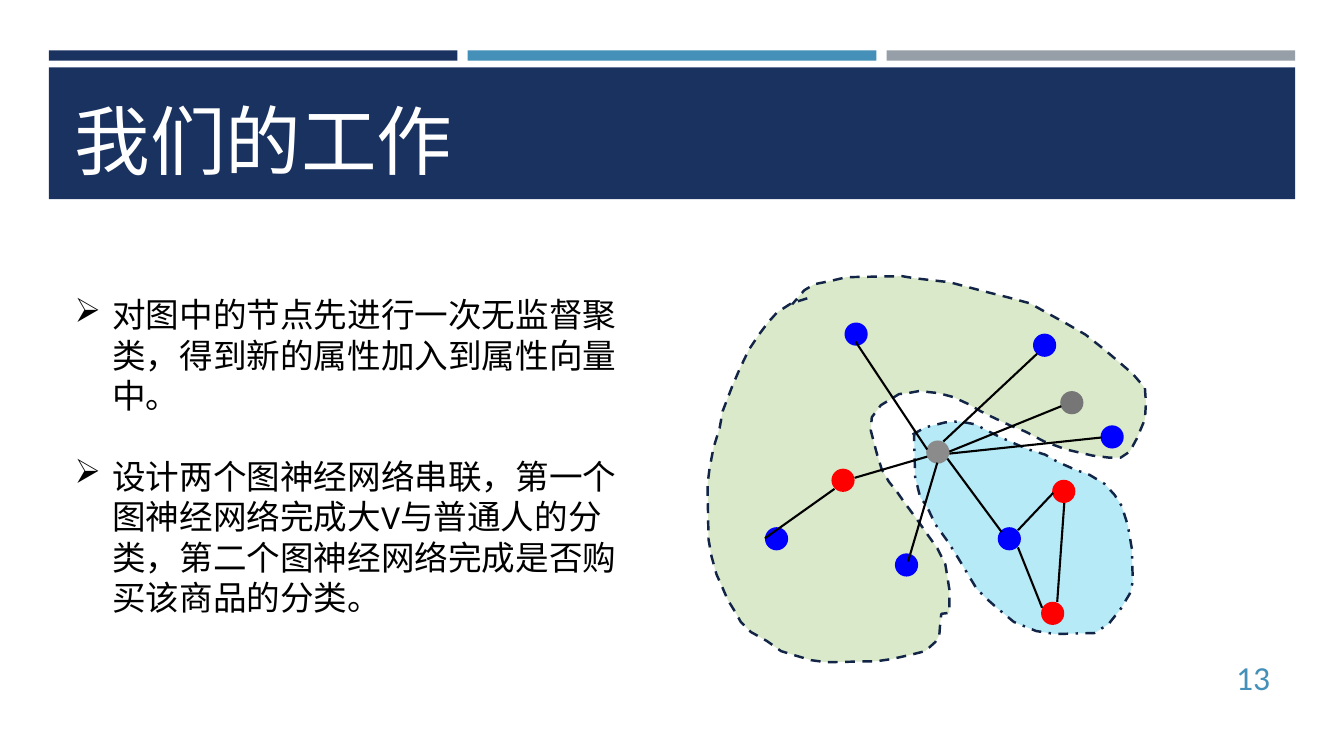
from lxml import etree
from pptx import Presentation
from pptx.dml.color import RGBColor
from pptx.enum.dml import MSO_LINE
from pptx.enum.shapes import MSO_CONNECTOR, MSO_SHAPE
from pptx.enum.text import MSO_ANCHOR, PP_ALIGN
from pptx.oxml.ns import qn
from pptx.util import Cm, Pt

RECT, OVAL = MSO_SHAPE.RECTANGLE, MSO_SHAPE.OVAL
STRAIGHT = MSO_CONNECTOR.STRAIGHT
DASH, DASH_DOT = MSO_LINE.DASH, MSO_LINE.DASH_DOT
TOP, MIDDLE, BOTTOM = MSO_ANCHOR.TOP, MSO_ANCHOR.MIDDLE, MSO_ANCHOR.BOTTOM
LEFT, RIGHT = PP_ALIGN.LEFT, PP_ALIGN.RIGHT

NAVY = RGBColor(0x1A, 0x32, 0x60)
STEEL = RGBColor(0x45, 0x90, 0xB8)
SILVER = RGBColor(0x96, 0x9F, 0xA7)
WHITE = RGBColor(0xFF, 0xFF, 0xFF)
BLACK = RGBColor(0x00, 0x00, 0x00)
OUTLINE = RGBColor(0x13, 0x25, 0x47)
GREEN = RGBColor(0xDA, 0xE9, 0xC9)
CYAN = RGBColor(0xB5, 0xEA, 0xF6)
BLUE = RGBColor(0x00, 0x00, 0xFF)
RED = RGBColor(0xFF, 0x00, 0x00)
HUB_GRAY = RGBColor(0x8B, 0x8B, 0x8B)
DARK_GRAY = RGBColor(0x76, 0x76, 0x76)

FONT = "Calibri"
GRID = Cm(2.54) // 100
NODE_SIZE = 23

GREEN_REGION = [
    (99, 22), (83, 27), (69, 36), (60, 46), (51, 58), (41, 73), (32, 92), (25, 108),
    (15, 134), (12, 151), (6, 170), (2, 191), (0, 207), (1, 261), (4, 278), (9, 296),
    (14, 307), (20, 321), (28, 334), (33, 343), (43, 353), (59, 362), (73, 372),
    (86, 376), (103, 381), (118, 383), (168, 382), (182, 380), (200, 376), (216, 372),
    (226, 363), (230, 356), (231, 343), (232, 335), (240, 334), (240, 311), (236, 286),
    (233, 280), (228, 270), (218, 256), (209, 243), (195, 224), (188, 214), (180, 204),
    (173, 192), (168, 176), (162, 153), (163, 140), (172, 128), (182, 122), (190, 117),
    (199, 116), (210, 114), (229, 116), (244, 120), (259, 127), (271, 134), (283, 140),
    (300, 148), (315, 154), (334, 164), (356, 172), (382, 178), (398, 180), (410, 180),
    (419, 174), (426, 161), (434, 142), (435, 126), (434, 111), (422, 97), (408, 85),
    (394, 73), (375, 58), (356, 47), (336, 36), (320, 27), (298, 21), (278, 16),
    (259, 11), (240, 6), (222, 4), (205, 2), (193, 0), (138, 1), (121, 5), (106, 8),
    (96, 14), (84, 28),
]
CYAN_REGION = [
    (206, 154), (205, 159), (206, 199), (211, 219), (218, 229), (226, 246), (239, 264),
    (249, 280), (261, 300), (267, 310), (277, 320), (286, 328), (304, 343), (326, 352),
    (345, 355), (384, 354), (398, 345), (410, 330), (419, 315), (422, 303), (421, 270),
    (417, 247), (411, 228), (404, 217), (394, 206), (379, 197), (365, 192), (347, 184),
    (335, 177), (319, 172), (307, 167), (289, 159), (277, 153), (266, 147), (250, 144),
    (236, 145), (216, 150), (202, 158),
]
NODES = [
    (136, 46, BLUE), (390, 148, BLUE), (57, 249, BLUE), (323, 57, BLUE),
    (186, 275, BLUE), (217, 163, HUB_GRAY), (288, 249, BLUE), (123, 191, RED),
    (331, 323, RED), (342, 202, RED), (350, 114, DARK_GRAY),
]
EDGES = [
    (354, 225, 347, 323), (228, 185, 199, 283), (218, 179, 146, 200),
    (327, 77, 234, 164), (343, 215, 308, 252), (308, 269, 332, 329),
    (391, 160, 240, 176), (57, 260, 126, 211), (218, 172, 147, 65),
    (351, 129, 240, 174), (292, 254, 238, 181),
]
POINTS = [
    "对图中的节点先进行一次无监督聚类，得到新的属性加入到属性向量中。",
    "设计两个图神经网络串联，第一个图神经网络完成大V与普通人的分类，"
    "第二个图神经网络完成是否购买该商品的分类。",
]


def add_solid(slide, kind, box, color):
    """Add a filled preset shape without outline."""
    solid = slide.shapes.add_shape(kind, *box)
    solid.shadow.inherit = False
    solid.fill.solid()
    solid.fill.fore_color.rgb = color
    solid.line.fill.background()


def add_text(slide, box, lines, size, color, anchor, align=LEFT):
    """Add a wrapped text box with one paragraph per line and return its paragraphs."""
    frame = slide.shapes.add_textbox(*box).text_frame
    frame.word_wrap = True
    frame.vertical_anchor = anchor
    for index, line in enumerate(lines):
        paragraph = frame.add_paragraph() if index else frame.paragraphs[0]
        paragraph.alignment = align
        run = paragraph.add_run()
        run.text = line
        run.font.name = FONT
        run.font.size = Pt(size)
        run.font.color.rgb = color
    return frame.paragraphs


def add_header(slide, left, top, width, height):
    """Draw the three accent strips and the title banner."""
    gap = Cm(0.26)
    strip = (width - 2 * gap) // 3
    for index, color in enumerate((NAVY, STEEL, SILVER)):
        add_solid(slide, RECT, (left + index * (strip + gap), top, strip, Cm(0.26)), color)
    banner_top = top + Cm(0.43)
    add_solid(slide, RECT, (left, banner_top, width, height - Cm(0.43)), NAVY)
    title_box = (left + Cm(0.4), banner_top + Cm(0.25), width - Cm(0.8), Cm(2.82))
    add_text(slide, title_box, ["我们的工作"], 54, WHITE, BOTTOM)


def add_points(slide, *box):
    """Write the bulleted points."""
    for index, paragraph in enumerate(add_text(slide, box, POINTS, 24, BLACK, TOP)):
        properties = paragraph._p.get_or_add_pPr()
        properties.set("marL", str(Cm(0.95)))
        properties.set("indent", str(-Cm(0.95)))
        if index:
            paragraph.space_before = Pt(29)
        etree.SubElement(properties, qn("a:buChar")).set("char", "➢")


def add_region(slide, left, top, outline, color, dash):
    """Draw one dashed cluster region."""
    points = [(left + x * GRID, top + y * GRID) for x, y in outline]
    builder = slide.shapes.build_freeform(*points[0])
    builder.add_line_segments(points[1:], close=False)
    region = builder.convert_to_shape()
    region.shadow.inherit = False
    region.fill.solid()
    region.fill.fore_color.rgb = color
    region.line.color.rgb = OUTLINE
    region.line.width = Pt(1.75)
    region.line.dash_style = dash


def add_graph(slide, left, top):
    """Draw the clustered graph: regions, nodes and edges."""
    add_region(slide, left, top, CYAN_REGION, CYAN, DASH_DOT)
    add_region(slide, left, top, GREEN_REGION, GREEN, DASH)
    size = NODE_SIZE * GRID
    for x, y, color in NODES:
        add_solid(slide, OVAL, (left + x * GRID, top + y * GRID, size, size), color)
    for x1, y1, x2, y2 in EDGES:
        edge = slide.shapes.add_connector(
            STRAIGHT, left + x1 * GRID, top + y1 * GRID, left + x2 * GRID, top + y2 * GRID)
        edge.line.color.rgb = BLACK
        edge.line.width = Pt(1.5)
        etree.SubElement(edge._element.spPr, qn("a:effectLst"))


def main():
    """Build the slide and save it."""
    deck = Presentation()
    deck.slide_width, deck.slide_height = Cm(33.87), Cm(19.05)
    slide = deck.slides.add_slide(deck.slide_layouts[6])
    add_header(slide, Cm(1.23), Cm(1.27), Cm(31.41), Cm(3.75))
    number_box = (Cm(29.34), Cm(16.54), Cm(2.92), Cm(1.02))
    add_text(slide, number_box, ["13"], 24, STEEL, MIDDLE, RIGHT)
    add_points(slide, Cm(1.63), Cm(7.29), Cm(14.55), Cm(8.46))
    add_graph(slide, Cm(17.83), Cm(6.96))
    deck.save("out.pptx")


if __name__ == "__main__":
    main()
